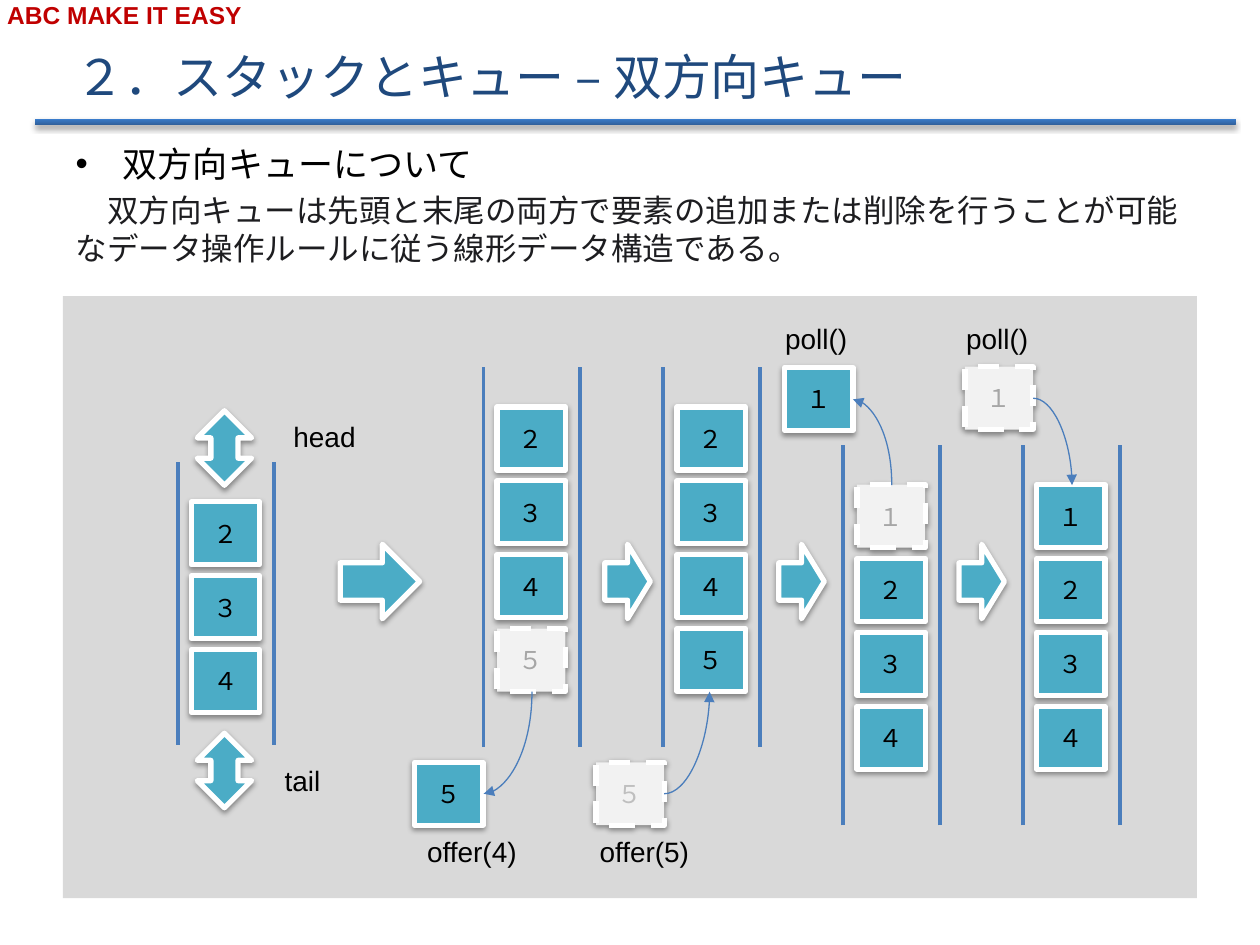
from dataclasses import dataclass

from lxml import etree
from pptx import Presentation
from pptx import util as u
from pptx.dml.color import RGBColor
from pptx.enum import dml, shapes, text
from pptx.oxml import ns

Pt = u.Pt
Kind = shapes.MSO_SHAPE


@dataclass(frozen=True)
class Theme:
    """Colours, faces and type sizes of the slide."""
    navy: str = "1F497D"
    red: str = "C00000"
    black: str = "000000"
    ink: str = "1D1D20"
    white: str = "FFFFFF"
    panel: str = "D9D9D9"
    teal: str = "4BACC6"
    pale: str = "F2F2F2"
    grey: str = "A6A6A6"
    light: str = "BFBFBF"
    wall: str = "4B7EBC"
    dark: str = "2F5F99"
    blue: str = "3A7CCB"
    sans: str = "Arial"
    kanji: str = "Noto Sans CJK JP"
    title: int = 28
    head: int = 20
    body: int = 18
    label: int = 16
    small: int = 14


T = Theme()
WIDE, HIGH, STEP = 39, 36, 42.2
WALL, INSET = 55.2, 7.8


def rgb(code):
    """Turn a hex code into a colour."""
    return RGBColor.from_string(code)


def assign(thing, **vals):
    """Set each given attribute on an object."""
    for key, val in vals.items():
        setattr(thing, key, val)


def place(shape, x, y, w, h):
    """Move and size a shape in points."""
    assign(shape, left=Pt(x), top=Pt(y), width=Pt(w), height=Pt(h))


def node(owner, tag, **vals):
    """Append a drawing element with attributes."""
    return etree.SubElement(owner, ns.qn(tag), {k: str(v) for k, v in vals.items()})


def write(para, words, size, color, face, bold=False):
    """Add one formatted run to a paragraph."""
    run = para.add_run()
    run.text = words
    assign(run.font, size=Pt(size), name=face, bold=bold)
    run.font.color.rgb = rgb(color)
    node(run.font._element, "a:ea", typeface=T.kanji)


def shade(shape, alpha=38, dist=1.6):
    """Give a shape a soft shadow below it."""
    shape.shadow.inherit = False
    list_ = shape._element.spPr.find(ns.qn("a:effectLst"))
    cast = node(list_, "a:outerShdw", blurRad=Pt(3.1), dist=Pt(dist),
                dir=5400000, rotWithShape=0)
    tint = node(cast, "a:srgbClr", val=T.black)
    node(tint, "a:alpha", val=alpha * 1000)


def solid(slide, kind, x, y, w, h, fill=T.teal, dash=False):
    """Draw a filled shape with a white edge and a shadow."""
    shape = slide.shapes.add_shape(kind, Pt(x), Pt(y), Pt(w), Pt(h))
    shape.fill.solid()
    shape.fill.fore_color.rgb = rgb(fill)
    shape.line.color.rgb = rgb(T.white)
    shape.line.width = Pt(3)
    if dash:
        shape.line.dash_style = dml.MSO_LINE.DASH
    shade(shape)
    return shape


def item(slide, x, y, digit, ghost=None):
    """Draw one queue item, dashed if a ghost colour is given."""
    box = solid(slide, Kind.RECTANGLE, x, y, WIDE, HIGH,
                T.pale if ghost else T.teal, bool(ghost))
    box.text_frame.vertical_anchor = text.MSO_ANCHOR.MIDDLE
    para = box.text_frame.paragraphs[0]
    para.alignment = text.PP_ALIGN.CENTER
    write(para, digit, T.small, ghost or T.black, T.kanji)


def link(slide, start, end, width, kind=shapes.MSO_CONNECTOR.STRAIGHT):
    """Draw a plain connector between two points."""
    line = slide.shapes.add_connector(kind, *(Pt(v) for v in (*start, *end)))
    line.line.color.rgb = rgb(T.wall)
    line.line.width = Pt(width)
    node(line._element.spPr, "a:effectLst")
    return line


def curve(slide, start, end, tip):
    """Draw a quarter bend, level at its start, with an arrow at the tip."""
    line = link(slide, start, end, 0.75, shapes.MSO_CONNECTOR.CURVE)
    line._element.spPr.find(ns.qn("a:prstGeom")).set("prst", "curvedConnector2")
    node(line.line._get_or_add_ln(), tip, type="triangle")


def queue(slide, x, top, foot, first, digits, ghost=None):
    """Draw two walls and the pile of items between them."""
    for side in (x, x + WALL):
        link(slide, (side, foot), (side, top), 2.25)
    for row, digit in enumerate(digits):
        item(slide, x + INSET, first + row * STEP, digit,
             T.grey if digit == ghost else None)


def label(slide, x, y, w, words, size=T.label, color=T.black, bold=False):
    """Add one line of loose text."""
    box = slide.shapes.add_textbox(Pt(x), Pt(y), Pt(w), Pt(26.6))
    box.text_frame.word_wrap = False
    write(box.text_frame.paragraphs[0], words, size, color, T.sans, bold)


def header(slide):
    """Draw the banner, the rule and the title."""
    rule = slide.shapes.add_shape(Kind.ROUNDED_RECTANGLE, Pt(20), Pt(67.8), Pt(686), Pt(3.8))
    rule.fill.gradient()
    rule.fill.gradient_angle = 90
    for stop, color in zip(rule.fill.gradient_stops, (T.dark, T.blue)):
        stop.color.rgb = rgb(color)
    rule.line.fill.background()
    shade(rule, 35, 1.8)
    label(slide, -3, -3.6, 255, "ABC MAKE IT EASY", T.small, T.red, True)
    title = slide.shapes.title
    place(title, 36, 21.6, 648, 44)
    title.text_frame.vertical_anchor = text.MSO_ANCHOR.MIDDLE
    para = title.text_frame.paragraphs[0]
    para.alignment = text.PP_ALIGN.LEFT
    write(para, "２．スタックとキュー – 双方向キュー", T.title, T.navy, T.kanji)


def body(slide):
    """Fill the body with a bullet and its plain text."""
    hold = slide.placeholders[1]
    place(hold, 36, 77.8, 648, 413)
    frame = hold.text_frame
    frame.auto_size = text.MSO_AUTO_SIZE.NONE
    point, plain = frame.paragraphs[0], frame.add_paragraph()
    for para, space, left in ((point, 4, 27), (plain, 3.6, 0)):
        para.space_before = Pt(space)
        props = para._p.get_or_add_pPr()
        props.set("marL", str(Pt(left)))
        props.set("indent", str(-Pt(left)))
    node(plain._p.get_or_add_pPr(), "a:buNone")
    write(point, "双方向キューについて", T.head, T.black, T.kanji)
    write(plain, "　双方向キューは先頭と末尾の両方で要素の追加または削除を行うことが可能な"
          "データ操作ルールに従う線形データ構造である。", T.body, T.ink, T.sans)


def chart(slide):
    """Draw the five states of the queue on a grey panel."""
    panel = slide.shapes.add_shape(Kind.RECTANGLE, Pt(36), Pt(169.2), Pt(648), Pt(344))
    panel.fill.solid()
    panel.fill.fore_color.rgb = rgb(T.panel)
    panel.line.fill.background()
    panel.shadow.inherit = False

    queue(slide, 101.5, 264, 425.5, 286.8, "２３４")
    high, low = (209.5, 427, 232.6), (254.2, 471.6, 277)
    states = ((high, "２３４５", "５"), (high, "２３４５", None),
              (low, "１２３４", "１"), (low, "１２３４", None))
    for col, (level, digits, ghost) in enumerate(states):
        queue(slide, 276.3 + col * 102.8, *level, digits, ghost)

    for x, y, digit, ghost in ((237, 435.6, "５", None), (340.6, 435.6, "５", T.light),
                               (448.4, 210, "１", None), (551.4, 209.5, "１", T.grey)):
        item(slide, x, y, digit, ghost)
    for start, end, tip in (((276.4, 453.6), (304, 395.3), "a:headEnd"),
                            ((379.5, 453.6), (405.5, 395.3), "a:tailEnd"),
                            ((487.4, 228.2), (509.6, 277.2), "a:headEnd"),
                            ((590.4, 227.6), (612.6, 277.2), "a:tailEnd")):
        curve(slide, start, end, tip)

    for x, w in ((194.4, 45.4), (345.6, 26), (445, 26), (548, 26)):
        solid(slide, Kind.RIGHT_ARROW, x, 311, w, 42.6)
    for y in (234.7, 419):
        solid(slide, Kind.UP_DOWN_ARROW, 112.8, y, 31, 42.6)
    for x, y, w, words in ((160.6, 236.4, 50.4, "head"), (155.6, 433, 35.3, "tail"),
                           (237, 473.6, 66.2, "offer(4)"), (335.5, 473.6, 66.2, "offer(5)"),
                           (441.6, 180, 50.4, "poll()"), (545, 180.4, 50.4, "poll()")):
        label(slide, x, y, w, words)


def main():
    """Build the slide and save it."""
    deck = Presentation()
    assign(deck, slide_width=Pt(720), slide_height=Pt(540))
    slide = deck.slides.add_slide(deck.slide_layouts[1])
    header(slide)
    body(slide)
    chart(slide)
    deck.save("out.pptx")


if __name__ == "__main__":
    main()
